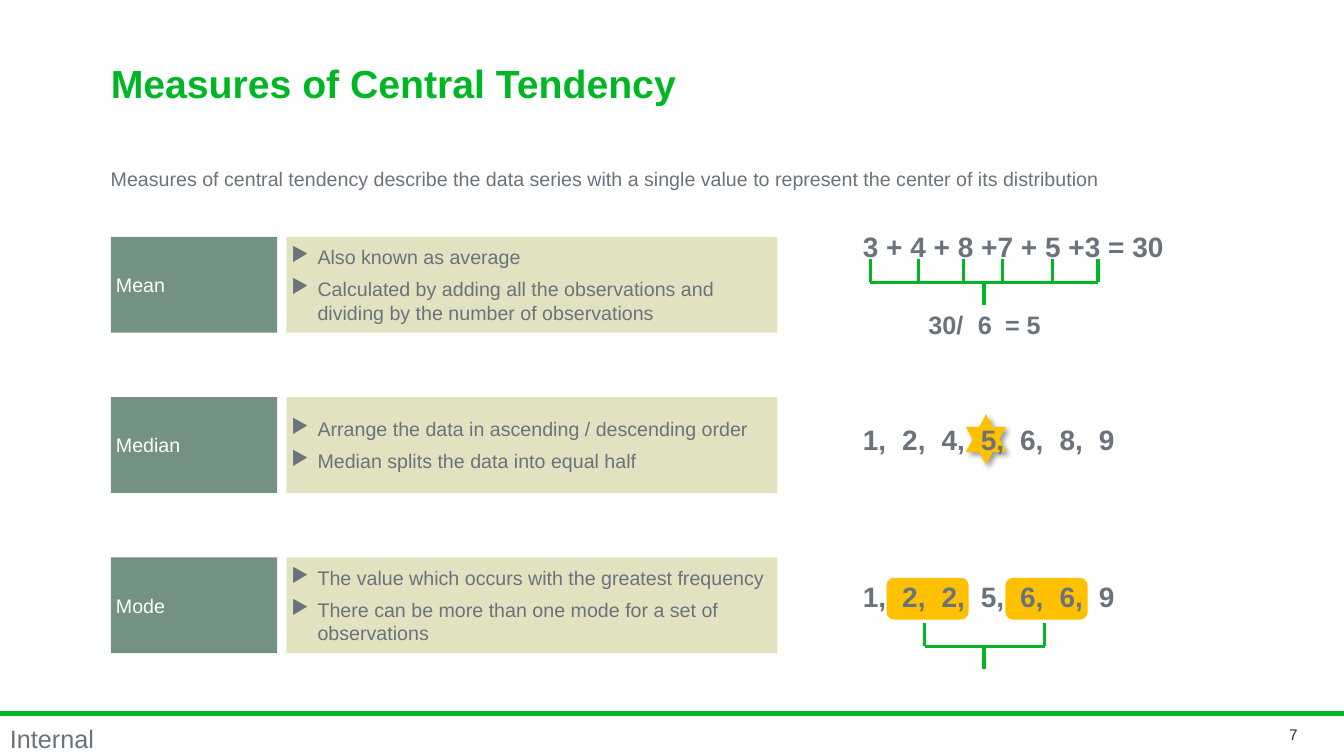
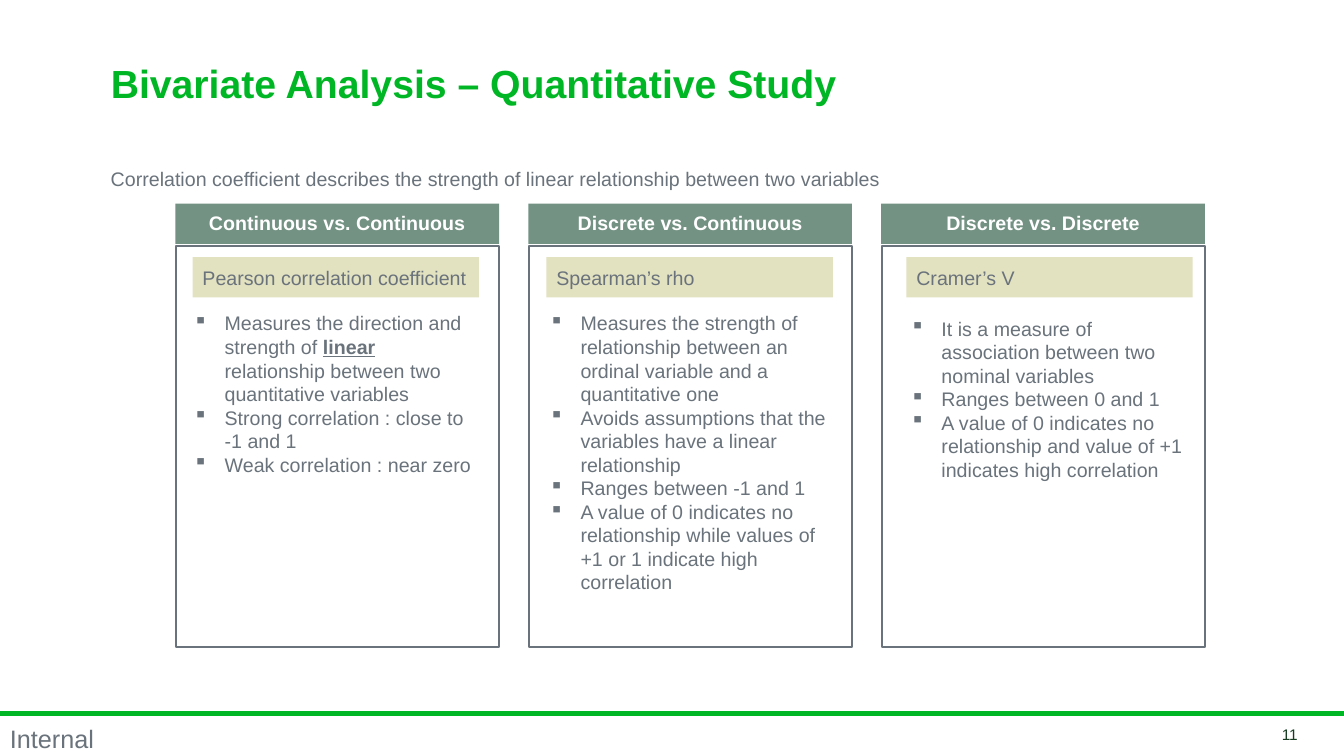
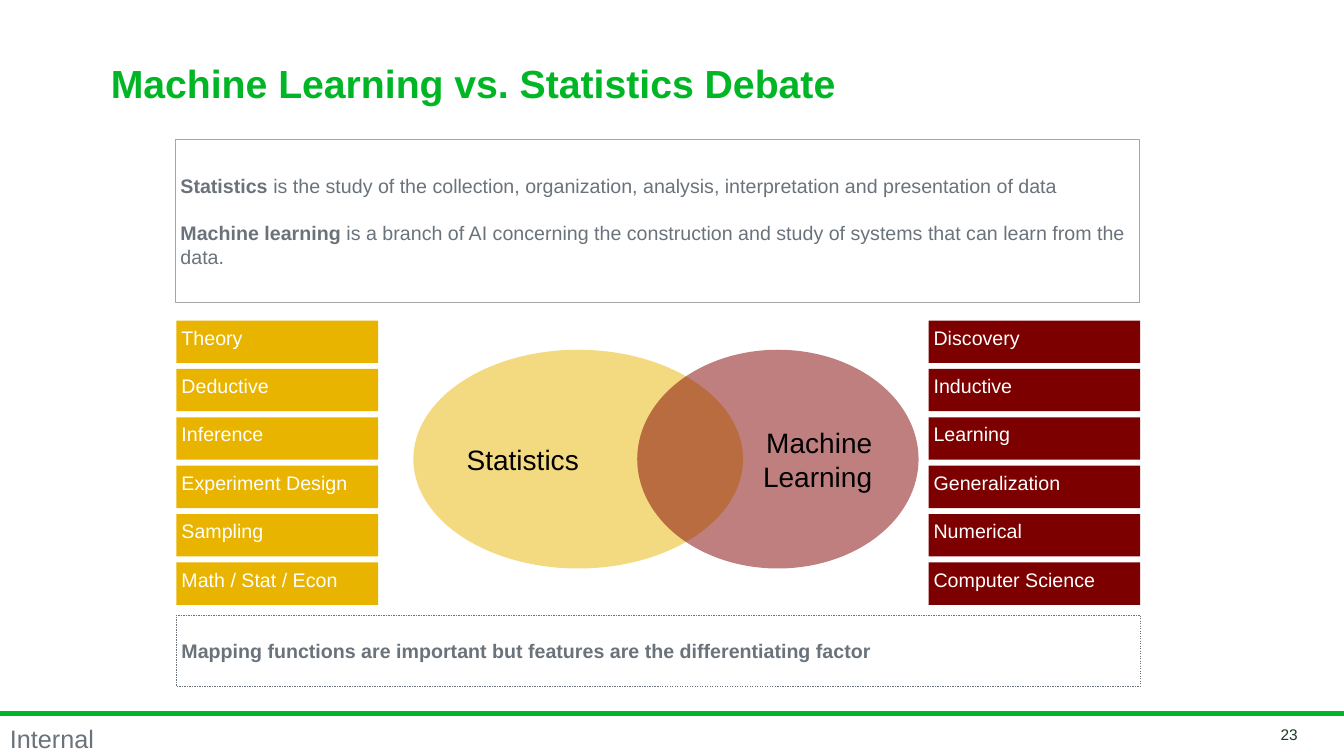
from lxml import etree
from pptx import Presentation
from pptx.dml.color import RGBColor
from pptx.enum.dml import MSO_LINE
from pptx.enum.shapes import MSO_CONNECTOR, MSO_SHAPE
from pptx.enum.text import MSO_ANCHOR, PP_ALIGN
from pptx.oxml.ns import qn
from pptx.util import Inches, Pt

GREEN = RGBColor(0x00, 0xB6, 0x24)
GRAY = RGBColor(0x6A, 0x73, 0x7B)
LIGHT_GRAY = RGBColor(0xA6, 0xA6, 0xA6)
DARK_GREEN = RGBColor(0x16, 0x3D, 0x22)
SAGE = RGBColor(0x73, 0x92, 0x83)
BEIGE = RGBColor(0xE2, 0xE1, 0xC0)
AMBER = RGBColor(0xFF, 0xC0, 0x00)
GOLD = RGBColor(0xE8, 0xB4, 0x00)
MAROON = RGBColor(0x80, 0x00, 0x00)
DARK_RED = RGBColor(0x7D, 0x00, 0x00)
WHITE = RGBColor(0xFF, 0xFF, 0xFF)
BLACK = RGBColor(0x00, 0x00, 0x00)


def write(frame, paragraphs, size=14, color=GRAY, bold=False, align=PP_ALIGN.LEFT,
          anchor=MSO_ANCHOR.TOP, inset=None, wrap=True, line_spacing=None, gap=0,
          bullet=None, indent=0, tabs=()):
    """Fill a text frame; a paragraph is a string or a list of (text, style) runs,
    where style holds any of "b" (bold) and "u" (underline)."""
    frame.word_wrap = wrap
    frame.vertical_anchor = anchor
    if inset is not None:
        frame.margin_left = frame.margin_right = Inches(inset)
        frame.margin_top = frame.margin_bottom = Inches(inset)
    if isinstance(paragraphs, str):
        paragraphs = [paragraphs]
    for index, content in enumerate(paragraphs):
        para = frame.add_paragraph() if index else frame.paragraphs[0]
        para.alignment = align
        if line_spacing:
            para.line_spacing = line_spacing
        if index and gap:
            para.space_before = Pt(gap)
        properties = para._p.get_or_add_pPr()
        if bullet:
            properties.set("marL", str(Inches(indent)))
            properties.set("indent", str(-Inches(indent)))
            etree.SubElement(properties, qn("a:buChar"), char=bullet)
        if tabs:
            stops = etree.SubElement(properties, qn("a:tabLst"))
            for position in tabs:
                etree.SubElement(stops, qn("a:tab"), pos=str(Inches(position)), algn="l")
        runs = [(content, "b" if bold else "")] if isinstance(content, str) else content
        for text, style in runs:
            span = para.add_run()
            span.text = text
            font = span.font
            font.name, font.size, font.color.rgb = "Arial", Pt(size), color
            font.bold = "b" in style
            font.underline = "u" in style


class SlideMaker:
    """Holds the deck, the shared style and the current slide."""

    def __init__(self):
        self.deck = Presentation()
        self.deck.slide_width = Inches(13.33)
        self.deck.slide_height = Inches(7.5)
        self.slide = None

    def start(self, title, number):
        self.slide = self.deck.slides.add_slide(self.deck.slide_layouts[6])
        self.line(0, 7.08, 13.33, 7.08, 3.5)
        self.text(0, 7.15, 1.04, 0.39, "Internal", size=18, wrap=False, line_spacing=0.95)
        self.text(1, 0.42, 9.89, 0.88, title, size=28, color=GREEN, bold=True,
                  anchor=MSO_ANCHOR.MIDDLE, line_spacing=0.85)
        self.text(11.96, 7.19, 1.01, 0.2, str(number), size=11, color=DARK_GREEN,
                  align=PP_ALIGN.RIGHT, anchor=MSO_ANCHOR.MIDDLE)

    def lead(self, text):
        self.text(1, 1.62, 11.33, 0.4, text, line_spacing=0.95)

    def text(self, left, top, width, height, paragraphs, **style):
        box = self.slide.shapes.add_textbox(
            Inches(left), Inches(top), Inches(width), Inches(height))
        write(box.text_frame, paragraphs, **style)

    def shape(self, left, top, width, height, paragraphs=None, kind=MSO_SHAPE.RECTANGLE,
              fill=None, alpha=None, line=None, weight=1, dash=None, **style):
        box = self.slide.shapes.add_shape(
            kind, Inches(left), Inches(top), Inches(width), Inches(height))
        box.shadow.inherit = False
        if fill is None:
            box.fill.background()
        else:
            box.fill.solid()
            box.fill.fore_color.rgb = fill
        if alpha:
            color = box._element.spPr.find(".//" + qn("a:srgbClr"))
            etree.SubElement(color, qn("a:alpha"), val=str(alpha * 1000))
        if line is None:
            box.line.fill.background()
        else:
            box.line.color.rgb = line
            box.line.width = Pt(weight)
            if dash:
                box.line.dash_style = dash
        if paragraphs:
            style = {"anchor": MSO_ANCHOR.MIDDLE, **style}
            write(box.text_frame, paragraphs, **style)
        return box

    def star(self, left, top, width, height):
        star = self.shape(left, top, width, height, kind=MSO_SHAPE.STAR_6_POINT, fill=AMBER)
        effects = star._element.spPr.find(qn("a:effectLst"))
        shadow = etree.SubElement(effects, qn("a:outerShdw"), blurRad=str(Pt(4)),
                                  dist=str(Pt(3)), dir=str(45 * 60000))
        color = etree.SubElement(shadow, qn("a:srgbClr"), val="000000")
        etree.SubElement(color, qn("a:alpha"), val="40000")

    def line(self, x1, y1, x2, y2, weight=2.25):
        line = self.slide.shapes.add_connector(
            MSO_CONNECTOR.STRAIGHT, Inches(x1), Inches(y1), Inches(x2), Inches(y2))
        line.line.color.rgb = GREEN
        line.line.width = Pt(weight)
        etree.SubElement(line._element.spPr, qn("a:effectLst"))

    def bracket(self, top, ticks, stem, arm=0.23):
        bar = top + arm
        for tick in ticks:
            self.line(tick, top, tick, bar)
        self.line(ticks[0], bar, ticks[-1], bar)
        self.line(stem, bar, stem, bar + arm)


def central_tendency(maker):
    maker.start("Measures of Central Tendency", 7)
    maker.lead("Measures of central tendency describe the data series with a single value "
               "to represent the center of its distribution")

    # Definitions
    measures = [
        ("Mean", ["Also known as average",
                  "Calculated by adding all the observations and dividing by the number "
                  "of observations"]),
        ("Median", ["Arrange the data in ascending / descending order",
                    "Median splits the data into equal half"]),
        ("Mode", ["The value which occurs with the greatest frequency",
                  "There can be more than one mode for a set of observations"]),
    ]
    for row, (name, points) in enumerate(measures):
        top = 2.35 + 1.59 * row
        maker.shape(1.1, top, 1.65, 0.95, name, fill=SAGE, color=WHITE, inset=0.05)
        maker.shape(2.84, top, 4.87, 0.95, points, fill=BEIGE, inset=0.05,
                    bullet="▶", indent=0.26, gap=6)

    # Highlights behind the number series
    for left in (8.8, 9.98):
        maker.shape(left, 5.74, 0.8, 0.4, kind=MSO_SHAPE.ROUNDED_RECTANGLE,
                    fill=AMBER, line=AMBER)
    maker.star(9.58, 4.11, 0.4, 0.5)

    # Worked examples
    number_stops = [0.39 * step for step in range(1, 7)]
    for top, series, stops in [
        (2.23, "3 + 4 + 8 +7 + 5 +3 = 30", ()),
        (4.14, "1,\t2,\t4,\t5,\t6,\t8,\t9", number_stops),
        (5.7, "1,\t2,\t2,\t5,\t6,\t6,\t9", number_stops),
    ]:
        maker.text(8.46, top, 3.19, 0.44, series, size=20, bold=True, tabs=stops)
    maker.text(9.11, 3.02, 2.13, 0.4, "30/\t6\t= 5", size=18, bold=True, tabs=(0.49, 0.76))
    maker.bracket(2.57, [8.63, 9.11, 9.56, 9.94, 10.44, 10.89], 9.76)
    maker.bracket(6.18, [9.17, 10.36], 9.76)


def bivariate_analysis(maker):
    maker.start("Bivariate Analysis – Quantitative Study", 11)
    maker.lead("Correlation coefficient describes the strength of linear relationship "
               "between two variables")

    # Heading, measure, measure left, then left, top and width of the points
    columns = [
        ("Continuous vs. Continuous", "Pearson correlation coefficient", 1.91, 1.82, 3.04, 3,
         [[("Measures the direction and strength of ", ""), ("linear", "bu"),
           (" relationship between two quantitative variables", "")],
          "Strong correlation : close to -1 and 1",
          "Weak correlation : near zero"]),
        ("Discrete vs. Continuous", "Spearman’s rho", 5.42, 5.35, 3.04, 3,
         ["Measures the strength of relationship between an ordinal variable and a "
          "quantitative one",
          "Avoids assumptions that the variables have a linear relationship",
          "Ranges between -1 and 1",
          "A value of 0 indicates no relationship while values of +1 or 1 indicate high "
          "correlation"]),
        ("Discrete vs. Discrete", "Cramer’s V", 8.99, 8.93, 3.09, 2.9,
         ["It is a measure of association between two nominal variables",
          "Ranges between 0 and 1",
          "A value of 0 indicates no relationship and value of +1 indicates high "
          "correlation"]),
    ]
    for index, column in enumerate(columns):
        heading, measure, measure_left, left, top, width, points = column
        offset = 3.5 * index
        maker.shape(1.75 + offset, 2.44, 3.2, 3.98, line=GRAY, weight=1.5)
        maker.shape(1.74 + offset, 2.02, 3.21, 0.4, heading, fill=SAGE, color=WHITE,
                    bold=True, align=PP_ALIGN.CENTER, inset=0, line_spacing=0.9)
        maker.shape(measure_left, 2.55, 2.84, 0.4, measure, fill=BEIGE)
        maker.text(left, top, width, 3, points, bullet="▪", indent=0.31)


def learning_debate(maker):
    maker.start("Machine Learning vs. Statistics Debate", 23)

    # Definitions
    maker.shape(1.74, 1.38, 9.56, 1.62, [
        [("Statistics", "b"), (" is the study of the collection, organization, analysis, "
                               "interpretation and presentation of data", "")],
        [("Machine learning", "b"), (" is a branch of AI concerning the construction and "
                                     "study of systems that can learn from the data.", "")],
    ], line=LIGHT_GRAY, weight=0.5, inset=0.05, gap=17)

    # Overlapping fields
    field = {"kind": MSO_SHAPE.OVAL, "alpha": 50, "size": 20, "color": BLACK, "inset": 0.05}
    maker.shape(4.1, 3.47, 3.27, 2.17, "Statistics", fill=GOLD, **field)
    maker.shape(6.32, 3.47, 2.79, 2.17, ["Machine", "Learning"], fill=MAROON,
                align=PP_ALIGN.RIGHT, **field)

    # Traits of each field
    traits = [
        (1.75, 2, GOLD, ["Theory", "Deductive", "Inference", "Experiment Design",
                         "Sampling", "Math / Stat / Econ"]),
        (9.21, 2.1, DARK_RED, ["Discovery", "Inductive", "Learning", "Generalization",
                               "Numerical", "Computer Science"]),
    ]
    for left, width, fill, names in traits:
        for row, name in enumerate(names):
            maker.shape(left, 3.18 + 0.48 * row, width, 0.42, name, fill=fill,
                        color=WHITE, inset=0.05, anchor=MSO_ANCHOR.TOP)

    # Conclusion
    maker.shape(1.75, 6.1, 9.56, 0.71,
                "Mapping functions are important but features are the differentiating factor",
                line=GRAY, weight=0.25, dash=MSO_LINE.DASH, bold=True, inset=0.05)


def main():
    maker = SlideMaker()
    central_tendency(maker)
    bivariate_analysis(maker)
    learning_debate(maker)
    maker.deck.save("out.pptx")


if __name__ == "__main__":
    main()
